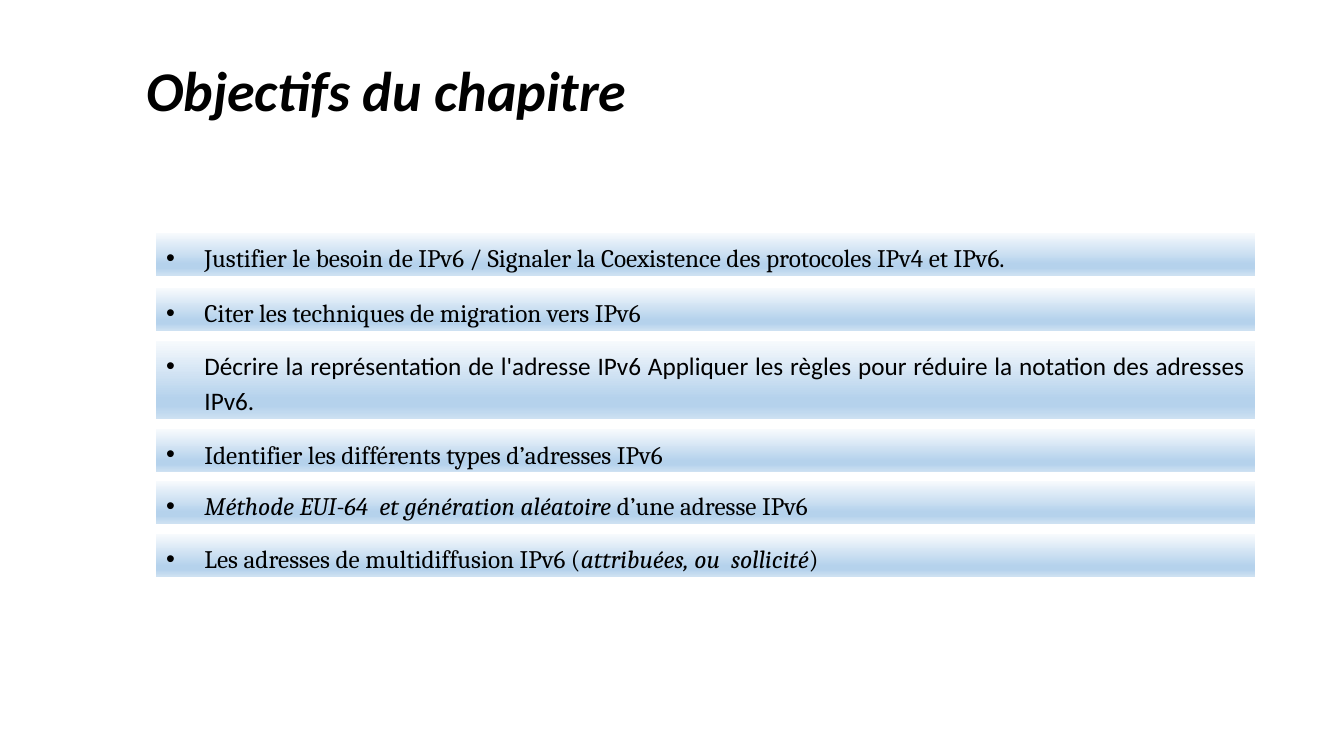
import pptx
import pptx.util
import pptx.dml.color
import pptx.enum.shapes
import pptx.enum.text
import pptx.oxml
import pptx.oxml.ns
import lxml.etree

Inches = pptx.util.Inches
Pt = pptx.util.Pt
RGBColor = pptx.dml.color.RGBColor
qn = pptx.oxml.ns.qn

BLACK = RGBColor(0x00, 0x00, 0x00)
PALE = RGBColor(0xF7, 0xFA, 0xFD)
BLUE = RGBColor(0xB5, 0xD2, 0xEC)
LIGHT = RGBColor(0xCE, 0xE1, 0xF2)
STOPS = [(0, PALE), (74, BLUE), (83, BLUE), (100, LIGHT)]

LEFT, WIDTH = 1.55, 10.9
INDENT = 0.38

# Each goal: top, height, font, runs of (text, italic)
GOALS = [
    (2.31, 0.42, "Cambria", [("Justifier le besoin de IPv6 / Signaler la Coexistence "
                              "des protocoles IPv4 et IPv6. ", False)]),
    (2.86, 0.42, "Cambria", [("Citer les techniques de migration vers IPv6", False)]),
    (3.38, 0.78, "Calibri", [("Décrire la représentation de l'adresse IPv6 Appliquer les règles "
                              "pour réduire la notation des adresses IPv6.", False)]),
    (4.26, 0.42, "Cambria", [("Identifier les différents types d’adresses IPv6", False)]),
    (4.77, 0.42, "Cambria", [("Méthode EUI-64  et génération aléatoire", True),
                             (" d’une adresse IPv6", False)]),
    (5.3, 0.42, "Cambria", [("Les adresses de multidiffusion IPv6 (", False),
                            ("attribuées, ou  sollicité", True), (")", False)]),
]


def add_run(para, text, face, size, italic=False, bold=False):
    run = para.add_run()
    run.text = text
    font = run.font
    font.name, font.size = face, Pt(size)
    font.italic, font.bold = italic, bold
    font.color.rgb = BLACK


def add_title(slide, text):
    box = slide.shapes.add_textbox(Inches(1.4), Inches(0.3), Inches(9), Inches(1.25))
    frame = box.text_frame
    frame.word_wrap = True
    frame.vertical_anchor = pptx.enum.text.MSO_ANCHOR.MIDDLE
    frame.margin_left = frame.margin_right = Inches(0.05)
    frame.margin_top = frame.margin_bottom = Inches(0.05)
    para = frame.paragraphs[0]
    para.line_spacing = 0.9
    add_run(para, text, "Calibri", 40, italic=True, bold=True)


def fill_fade(shape):
    """Fill from top to bottom through the colours in STOPS."""
    shape.fill.gradient()
    shape.fill.gradient_angle = 270
    stops = shape._element.spPr.find(".//" + qn("a:gsLst"))
    for old in list(stops):
        stops.remove(old)
    for place, color in STOPS:
        stop = lxml.etree.SubElement(stops, qn("a:gs"), pos=str(place * 1000))
        lxml.etree.SubElement(stop, qn("a:srgbClr"), val=str(color))


def add_bullet(para):
    props = para._p.get_or_add_pPr()
    props.set("marL", str(Inches(INDENT)))
    props.set("indent", str(-Inches(INDENT)))
    lxml.etree.SubElement(props, qn("a:buFont"), typeface="Arial")
    lxml.etree.SubElement(props, qn("a:buChar"), char="•")


def add_goal(slide, top, height, face, runs):
    bar = slide.shapes.add_shape(pptx.enum.shapes.MSO_SHAPE.RECTANGLE, Inches(LEFT),
                                 Inches(top), Inches(WIDTH), Inches(height))
    bar.shadow.inherit = False
    bar.line.fill.background()
    fill_fade(bar)
    frame = bar.text_frame
    frame.word_wrap = True
    frame.auto_size = pptx.enum.text.MSO_AUTO_SIZE.SHAPE_TO_FIT_TEXT
    frame.vertical_anchor = pptx.enum.text.MSO_ANCHOR.TOP
    para = frame.paragraphs[0]
    add_bullet(para)
    para.alignment = pptx.enum.text.PP_ALIGN.JUSTIFY
    para.line_spacing = 1.15
    para.space_after = Pt(10)
    for text, italic in runs:
        add_run(para, text, face, 18, italic)


def main():
    deck = pptx.Presentation()
    deck.slide_width, deck.slide_height = Inches(13.33), Inches(7.5)
    slide = deck.slides.add_slide(deck.slide_layouts[6])

    # Heading
    add_title(slide, "Objectifs du chapitre")

    # Chapter goals
    for goal in GOALS:
        add_goal(slide, *goal)

    deck.save("out.pptx")


if __name__ == "__main__":
    main()
